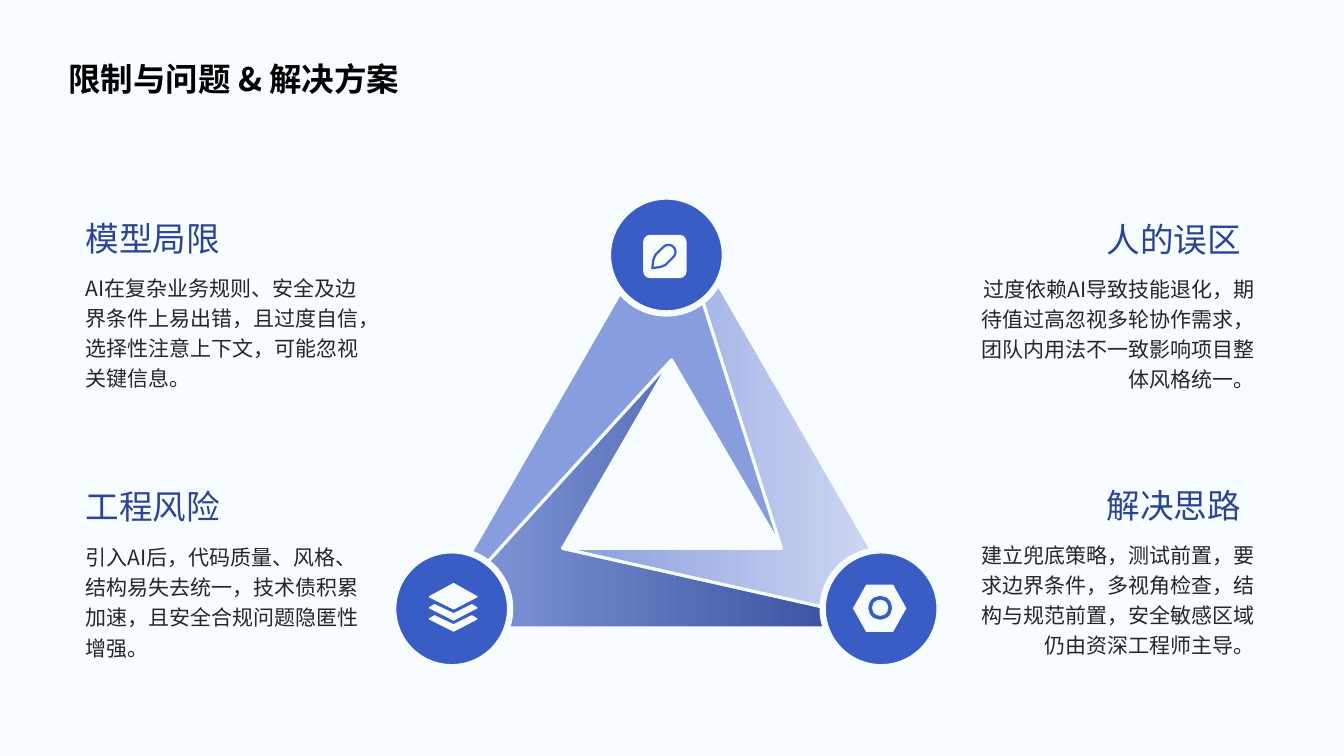
from math import cos, radians, sin

from pptx import Presentation
from pptx.dml.color import RGBColor
from pptx.enum.shapes import MSO_SHAPE as SHAPE
from pptx.enum.text import MSO_ANCHOR as ANCHOR, MSO_AUTO_SIZE as AUTO_SIZE, PP_ALIGN as ALIGN
from pptx.oxml.ns import qn
from pptx.util import Inches, Pt

FONT = "Noto Sans CJK SC"
PAPER = RGBColor(0xF6, 0xFC, 0xFF)
BLACK = RGBColor(0, 0, 0)
BODY = RGBColor(0x26, 0x26, 0x26)
NAVY = RGBColor(0x2B, 0x45, 0x94)
BLUE = RGBColor(0x39, 0x5C, 0xC5)
PERIWINKLE = RGBColor(0x88, 0x9D, 0xDD)
MIST = RGBColor(0xD7, 0xDE, 0xF4)

# Heading left, top; body left, top, height; alignment; heading; body
TOPICS = [
    (0.85, 1.95, 0.85, 2.68, 1.65, ALIGN.LEFT, "模型局限",
     "AI在复杂业务规则、安全及边界条件上易出错，且过度自信，选择性注意上下文，可能忽视关键信息。"),
    (0.85, 4.61, 0.85, 5.35, 1.65, ALIGN.LEFT, "⼯程⻛险",
     "引入AI后，代码质量、风格、结构易失去统一，技术债积累加速，且安全合规问题隐匿性增强。"),
    (9.37, 1.96, 9.63, 2.69, 1.67, ALIGN.RIGHT, "⼈的误区",
     "过度依赖AI导致技能退化，期待值过高忽视多轮协作需求，团队内用法不一致影响项目整体风格统一。"),
    (9.37, 4.6, 9.63, 5.33, 1.67, ALIGN.RIGHT, "解决思路",
     "建立兜底策略，测试前置，要求边界条件，多视角检查，结构与规范前置，安全敏感区域仍由资深工程师主导。"),
]

# Corners of the outer and inner triangles
OUTER_TOP, OUTER_LEFT, OUTER_RIGHT = (6.66, 2.02), (4.24, 6.23), (9.09, 6.23)
INNER_TOP, INNER_LEFT, INNER_RIGHT = (6.66, 3.57), (5.58, 5.44), (7.75, 5.44)
FACETS = [
    ([INNER_LEFT, INNER_TOP, OUTER_LEFT, OUTER_RIGHT], (PERIWINKLE, NAVY)),
    ([INNER_RIGHT, INNER_LEFT, OUTER_RIGHT, OUTER_TOP], (PERIWINKLE, MIST)),
    ([INNER_TOP, INNER_RIGHT, OUTER_TOP, OUTER_LEFT], (PERIWINKLE,)),
]
NODE_SIZE = 1.16
NODES = [(6.03, 1.95), (3.9, 5.46), (8.16, 5.46)]


def write(frame, text, size, color, spacing, align, anchor=ANCHOR.TOP, bold=False):
    frame.word_wrap = True
    frame.auto_size = AUTO_SIZE.NONE
    frame.vertical_anchor = anchor
    paragraph = frame.paragraphs[0]
    paragraph.alignment = align
    paragraph.line_spacing = spacing
    run = paragraph.add_run()
    run.text = text
    font = run.font
    font.name, font.size, font.bold = FONT, Pt(size), bold
    font.color.rgb = color
    east_asian = font._element.makeelement(qn("a:ea"), {"typeface": FONT})
    font._element.find(qn("a:latin")).addnext(east_asian)


def add_text(slide, left, top, width, height, *style):
    frame = slide.shapes.add_textbox(*map(Inches, (left, top, width, height))).text_frame
    frame.margin_left = frame.margin_right = frame.margin_top = frame.margin_bottom = 0
    write(frame, *style)


def paint(shape, colors, line=None, weight=0):
    shape.shadow.inherit = False
    if len(colors) == 1:
        shape.fill.solid()
        shape.fill.fore_color.rgb = colors[0]
    else:
        shape.fill.gradient()
        shape.fill.gradient_angle = 0
        for stop, color in zip(shape.fill.gradient_stops, colors):
            stop.color.rgb = color
    if line is None:
        shape.line.fill.background()
    else:
        shape.line.color.rgb = line
        shape.line.width = Pt(weight)


def add_outline(slide, points, *style):
    start, *others = [(Inches(x), Inches(y)) for x, y in points]
    builder = slide.shapes.build_freeform(*start)
    builder.add_line_segments(others, close=True)
    paint(builder.convert_to_shape(), *style)


def add_preset(slide, kind, left, top, width, height, *style):
    shape = slide.shapes.add_shape(kind, *map(Inches, (left, top, width, height)))
    paint(shape, *style)
    return shape


def add_pen_icon(slide):
    tile = add_preset(slide, SHAPE.ROUNDED_RECTANGLE, 6.38, 2.33, 0.43, 0.43, (PAPER,))
    tile.adjustments[0] = 0.16
    cap = [(6.63 + 0.07 * cos(radians(a)), 2.5 + 0.07 * sin(radians(a)))
           for a in range(-135, 46, 15)]
    barrel = [(6.6, 2.63), (6.55, 2.65), (6.47, 2.66), (6.48, 2.58), (6.5, 2.53)]
    add_outline(slide, cap + barrel, (PAPER,), BLUE, 1.6)


def add_layers_icon(slide):
    left, middle, right = 4.26, 4.5, 4.73
    for drop in (0.11, 0):
        band = [(4.31, 6), (middle, 6.09), (4.68, 6), (right, 6.03), (middle, 6.15), (left, 6.03)]
        add_outline(slide, [(x, y + drop) for x, y in band], (PAPER,), PAPER, 1)
    sheet = [(left, 5.92), (middle, 5.79), (right, 5.92), (middle, 6.04)]
    add_outline(slide, sheet, (PAPER,), PAPER, 1)


def add_nut_icon(slide):
    nut = add_preset(slide, SHAPE.HEXAGON, 8.46, 5.8, 0.53, 0.47, (PAPER,))
    nut.adjustments[0] = 0.28
    add_preset(slide, SHAPE.OVAL, 8.63, 5.93, 0.2, 0.2, (PAPER,), BLUE, 2.6)


def main():
    deck = Presentation()
    deck.slide_width, deck.slide_height = Inches(13.33), Inches(7.5)
    slide = deck.slides.add_slide(deck.slide_layouts[5])
    slide.background.fill.solid()
    slide.background.fill.fore_color.rgb = PAPER

    # Title
    title = slide.shapes.title
    title.left, title.top, title.width, title.height = map(Inches, (0.58, 0.43, 12, 0.62))
    write(title.text_frame, "限制与问题 & 解决⽅案", 23.2, BLACK, 1.2,
          ALIGN.LEFT, ANCHOR.MIDDLE, True)

    # Four topics around the triangle
    for head_left, head_top, left, top, height, align, heading, body in TOPICS:
        add_text(slide, left, top, 2.81, height, body, 15, BODY, 1.2, align)
        add_text(slide, head_left, head_top, 2.94, 0.7, heading, 24, NAVY, 1.3,
                 align, ANCHOR.MIDDLE)

    # Folded triangle
    for points, colors in FACETS:
        add_outline(slide, points, colors, PAPER, 2.25)

    # Corner nodes and their icons
    for left, top in NODES:
        add_preset(slide, SHAPE.OVAL, left, top, NODE_SIZE, NODE_SIZE, (BLUE,), PAPER, 4.5)
    add_pen_icon(slide)
    add_layers_icon(slide)
    add_nut_icon(slide)

    deck.save("out.pptx")


if __name__ == "__main__":
    main()
